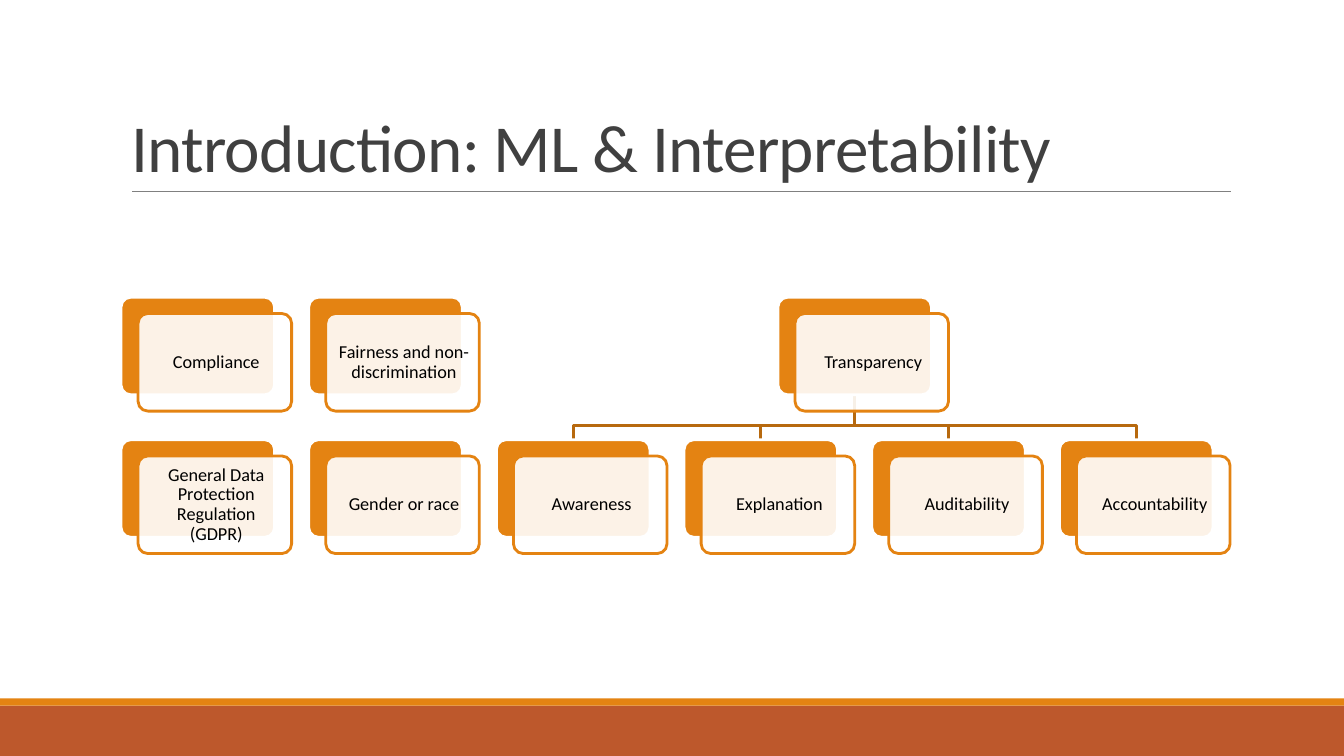
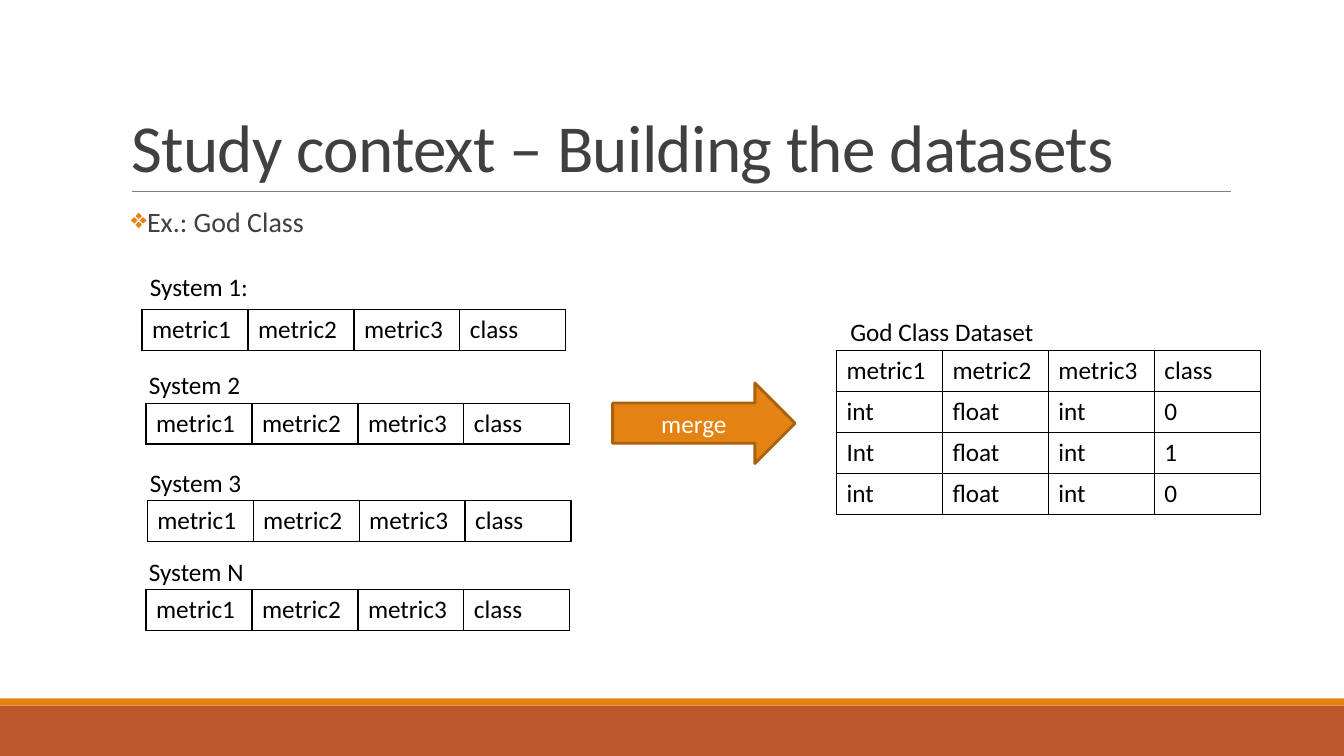
"""Two slides on interpretable machine learning: a concept tree and a dataset merge."""
from lxml.etree import SubElement
from pptx import Presentation
from pptx.dml.color import RGBColor
from pptx.enum.shapes import MSO_CONNECTOR, MSO_SHAPE
from pptx.enum.text import MSO_ANCHOR, MSO_AUTO_SIZE, PP_ALIGN
from pptx.oxml import parse_xml
from pptx.oxml.ns import nsdecls, qn
from pptx.util import Cm, Pt

ORANGE = RGBColor(0xE4, 0x83, 0x12)
RUST = RGBColor(0xBD, 0x58, 0x2C)
BROWN = RGBColor(0xB7, 0x69, 0x0E)
EDGE = RGBColor(0xA9, 0x61, 0x0D)
GRAY = RGBColor(0x80, 0x80, 0x80)
DARK = RGBColor(0x40, 0x40, 0x40)
BLACK = RGBColor(0, 0, 0)
WHITE = RGBColor(0xFF, 0xFF, 0xFF)
FONT = "Calibri"

TREE = [
    ("Compliance", ["General Data Protection Regulation (GDPR)"]),
    ("Fairness and non-discrimination", ["Gender or race"]),
    ("Transparency", ["Awareness", "Explanation", "Auditability", "Accountability"]),
]
LEFT, STEP = 3.05, 4.73
TOP, DROP = 7.49, 3.59
CARD_W, CARD_H = 3.87, 2.46
SHIFT_X, SHIFT_Y = 0.43, 0.41
BEND = 10.72

HEAD = ["metric1", "metric2", "metric3", "class"]
ROWS = [
    ["int", "float", "int", "0"],
    ["Int", "float", "int", "1"],
    ["int", "float", "int", "0"],
]
GRIDS = [
    ("System 1:", (3.53, 6.71), (3.58, 7.8), [HEAD]),
    ("System 2", (3.5, 9.17), (3.68, 10.16), [HEAD]),
    ("System 3", (3.53, 11.66), (3.71, 12.62), [HEAD]),
    ("System N", (3.5, 13.89), (3.68, 14.86), [HEAD]),
    ("God Class Dataset", (21.18, 7.85), (21.08, 8.84), [HEAD] + ROWS),
]
COL_W, ROW_H = 2.67, 1.03


def write(frame, text, size=18, color=BLACK, align=PP_ALIGN.LEFT, anchor=None,
          insets=None, lines=None, before=None, after=None, track=None, bullet=None):
    """Fill a text frame with one formatted paragraph."""
    frame.word_wrap = True
    if anchor is not None:
        frame.vertical_anchor = anchor
    if insets:
        sides = [Cm(side) for side in insets]
        frame.margin_left, frame.margin_top, frame.margin_right, frame.margin_bottom = sides
    para = frame.paragraphs[0]
    para.alignment = align
    if lines:
        para.line_spacing = lines
    if before is not None:
        para.space_before = Pt(before)
    if after is not None:
        para.space_after = Pt(after)
    if bullet:
        props = para._p.get_or_add_pPr()
        props.set("marL", str(Cm(0.25)))
        props.set("indent", str(-Cm(0.25)))
        tint = SubElement(props, qn("a:buClr"))
        SubElement(tint, qn("a:srgbClr")).set("val", str(ORANGE))
        SubElement(props, qn("a:buChar")).set("char", bullet)
    run = para.add_run()
    run.text = text
    run.font.name, run.font.size = FONT, Pt(size)
    run.font.color.rgb = color
    if track:
        run._r.get_or_add_rPr().set("spc", str(track))


def label(slide, text, x, y, w, h, **style):
    """Place a text box."""
    box = slide.shapes.add_textbox(Cm(x), Cm(y), Cm(w), Cm(h))
    write(box.text_frame, text, **style)


def block(slide, kind, x, y, w, h, fill, line=None):
    """Place a filled preset shape."""
    shape = slide.shapes.add_shape(kind, Cm(x), Cm(y), Cm(w), Cm(h))
    shape.shadow.inherit = False
    shape.fill.solid()
    shape.fill.fore_color.rgb = fill
    if line is None:
        shape.line.fill.background()
    else:
        shape.line.color.rgb = line
        shape.line.width = Pt(2)
    return shape


def dress(layout, slide):
    """Set the title place and move the bands and rule to the layout."""
    title = layout.placeholders[0]
    title.left, title.top, title.width, title.height = Cm(3.05), Cm(0.79), Cm(27.94), Cm(4.03)
    foot = block(slide, MSO_SHAPE.RECTANGLE, 0, 17.78, 33.87, 1.27, RUST)
    band = block(slide, MSO_SHAPE.RECTANGLE, 0, 17.6, 33.87, 0.18, ORANGE)
    rule = slide.shapes.add_connector(
        MSO_CONNECTOR.STRAIGHT, Cm(3.33), Cm(4.83), Cm(31.01), Cm(4.83))
    rule.line.color.rgb, rule.line.width = GRAY, Pt(0.5)
    SubElement(rule._element.spPr, qn("a:effectLst"))
    for part in (foot, band, rule):
        layout.shapes._spTree.append(part._element)


def start(deck, layout, text):
    """Add a slide with its title."""
    slide = deck.slides.add_slide(layout)
    frame = slide.shapes.title.text_frame
    frame.auto_size = MSO_AUTO_SIZE.NONE
    write(frame, text, size=48, color=DARK, anchor=MSO_ANCHOR.BOTTOM, lines=0.85, track=-50)
    return slide


def card(slide, text, col, row):
    """Draw a solid card with a translucent text card over it."""
    x, y = LEFT + col * STEP, TOP + row * DROP
    back = block(slide, MSO_SHAPE.ROUNDED_RECTANGLE, x, y, CARD_W, CARD_H, ORANGE, WHITE)
    front = block(slide, MSO_SHAPE.ROUNDED_RECTANGLE, x + SHIFT_X, y + SHIFT_Y,
                  CARD_W, CARD_H, WHITE, ORANGE)
    for shape in (back, front):
        shape.adjustments[0] = 0.1
    tint = front._element.spPr.find(qn("a:solidFill"))[0]
    SubElement(tint, qn("a:alpha")).set("val", "90000")
    write(front.text_frame, text, size=13, align=PP_ALIGN.CENTER, anchor=MSO_ANCHOR.MIDDLE,
          insets=(0.2, 0.2, 0.13, 0.2), lines=0.9, after=4.6)


def link(slide, col, kid):
    """Draw a bent line from a parent column down to a child column."""
    x, end = (Cm(LEFT + place * STEP + CARD_W / 2) for place in (col, kid))
    pen = slide.shapes.build_freeform(x, Cm(TOP + CARD_H))
    pen.add_line_segments(
        [(x, Cm(BEND)), (end, Cm(BEND)), (end, Cm(TOP + DROP))], close=False)
    shape = pen.convert_to_shape()
    shape.shadow.inherit = False
    shape.fill.background()
    shape.line.color.rgb, shape.line.width = BROWN, Pt(2)


def grid(slide, rows, x, y):
    """Add a plain table with thin black borders."""
    table = slide.shapes.add_table(
        len(rows), len(HEAD), Cm(x), Cm(y),
        Cm(COL_W * len(HEAD)), Cm(ROW_H * len(rows))).table
    table.first_row = table.horz_banding = False
    for r, row in enumerate(rows):
        for c, text in enumerate(row):
            cell = table.cell(r, c)
            cell.fill.background()
            write(cell.text_frame, text)
            props = cell._tc.get_or_add_tcPr()
            for spot, side in enumerate("LRTB"):
                props.insert(spot, parse_xml(
                    f'<a:ln{side} {nsdecls("a")} w="{Pt(0.96)}"><a:solidFill>'
                    f'<a:srgbClr val="{BLACK}"/></a:solidFill></a:ln{side}>'))


def main():
    """Build and save the deck."""
    deck = Presentation()
    deck.slide_width, deck.slide_height = Cm(33.87), Cm(19.05)
    layout = deck.slide_layouts[5]

    slide = start(deck, layout, "Introduction: ML & Interpretability")
    dress(layout, slide)
    cards, first = [], 0
    for text, kids in TREE:
        mid = first + (len(kids) - 1) / 2
        cards.append((text, mid, 0))
        for col, kid in enumerate(kids, first):
            cards.append((kid, col, 1))
            if len(kids) > 1:
                link(slide, mid, col)
        first += len(kids)
    for item in cards:
        card(slide, *item)

    slide = start(deck, layout, "Study context – Building the datasets")
    label(slide, "Ex.: God Class", 3.05, 5.13, 27.94, 11.18, size=20, color=DARK,
          lines=0.9, before=12, after=2, bullet="❖")
    for name, spot, place, rows in GRIDS:
        label(slide, name, *spot, 7.62, 1.02)
        grid(slide, rows, *place)
    arrow = block(slide, MSO_SHAPE.RIGHT_ARROW, 15.44, 9.65, 4.6, 2.03, ORANGE, EDGE)
    write(arrow.text_frame, "merge", color=WHITE, align=PP_ALIGN.CENTER,
          anchor=MSO_ANCHOR.MIDDLE)

    deck.save("out.pptx")


if __name__ == "__main__":
    main()
